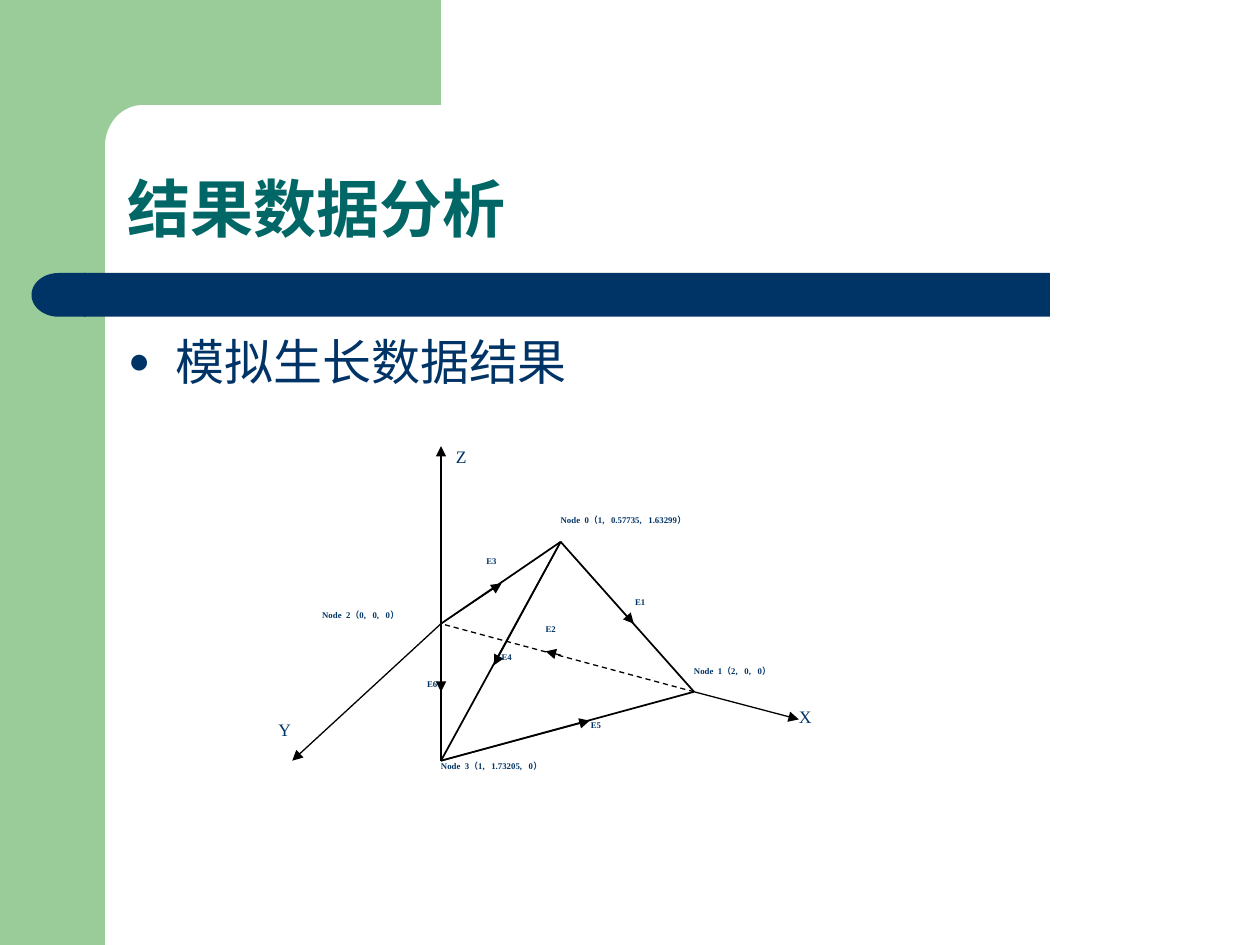
from math import cos, pi, sin

from lxml.etree import SubElement
from pptx import Presentation
from pptx.dml.color import RGBColor
from pptx.enum.dml import MSO_LINE_DASH_STYLE as DASH
from pptx.enum.shapes import MSO_CONNECTOR, MSO_SHAPE
from pptx.enum.text import MSO_ANCHOR, PP_ALIGN
from pptx.oxml.ns import qn
from pptx.util import Pt

GREEN = RGBColor(0x99, 0xCC, 0x99)
NAVY = RGBColor(0x00, 0x33, 0x66)
TEAL = RGBColor(0x00, 0x66, 0x66)
BLACK = RGBColor(0, 0, 0)
SERIF = "Times New Roman"
LABEL_HEIGHT = 15.6

TITLE = "结果数据分析"
BULLET = "模拟生长数据结果"

# Node points, and node labels as (text, left, top, width)
NODES = [(320.4, 309.6), (396.6, 395.3), (252, 356.4), (252, 434.7)]
NODE_LABELS = [
    ("Node  0（1,   0.57735,   1.63299）", 320.4, 294.4, 93.6),
    ("Node  1（2,   0,   0）", 396.6, 380.2, 67.7),
    ("Node  2（0,   0,   0）", 184.1, 348.6, 59.8),
    ("Node  3（1,   1.73205,   0）", 252, 434.7, 76.3),
]
# Axis name, start node, tip, label position
AXES = [
    ("X", 1, (456.5, 411.1), (456.5, 403.2)),
    ("Y", 2, (167, 434.7), (159.1, 411.1)),
    ("Z", 2, (252, 254.9), (260.6, 254.9)),
]
# Edge name, start node, end node, direction arrow tip, arrow width, label position
EDGES = [
    ("E1", 0, 1, (362.2, 356.4), 0.25, (362.9, 341.3)),
    ("E2", 1, 2, (311.8, 372.2), 0.75, (311.8, 356.4)),
    ("E3", 2, 0, (286.6, 333.4), 0.5, (277.9, 317.5)),
    ("E4", 0, 3, (282.2, 380.2), 0.75, (286.6, 372.2)),
    ("E5", 3, 1, (337, 411.8), 0.75, (337.7, 411.1)),
    ("E6", 2, 3, (252, 395.3), 0.75, (244.1, 388.1)),
]
HIDDEN_EDGE = "E2"
HIDDEN_ARROW_START = (320.4, 374.4)


def paint(shape, color):
    shape.shadow.inherit = False
    shape.fill.solid()
    shape.fill.fore_color.rgb = color
    shape.line.fill.background()


def add_block(shapes, kind, box, color):
    shape = shapes.add_shape(kind, *map(Pt, box))
    paint(shape, color)
    return shape


def add_corner(shapes):
    """Top band whose inner corner is a quarter ellipse."""
    center_x, center_y, radius_x, radius_y = 81.5, 83.5, 21.5, 23.5
    steps = 16
    arc = [(center_x - radius_x * sin(pi / 2 * i / steps),
            center_y - radius_y * cos(pi / 2 * i / steps)) for i in range(steps + 1)]
    outline = [(252, 60), *arc, (60, 92), (36, 92), (36, 0)]
    builder = shapes.build_freeform(Pt(252), Pt(0))
    builder.add_line_segments([(Pt(x), Pt(y)) for x, y in outline], close=True)
    paint(builder.convert_to_shape(), GREEN)


def add_text(shapes, text, box, size, color, font=SERIF, bold=False, insets=(0, 0)):
    text_box = shapes.add_textbox(*map(Pt, box))
    frame = text_box.text_frame
    frame.word_wrap = True
    frame.margin_left = frame.margin_right = Pt(insets[0])
    frame.margin_top = frame.margin_bottom = Pt(insets[1])
    run = frame.paragraphs[0].add_run()
    run.text = text
    run.font.name = font
    run.font.size = Pt(size)
    run.font.bold = bold
    run.font.color.rgb = color
    return frame


def add_label(shapes, text, left, top, width, size=5, bold=True):
    frame = add_text(shapes, text, (left, top, width, LABEL_HEIGHT), size, NAVY, bold=bold)
    frame.paragraphs[0].alignment = PP_ALIGN.JUSTIFY


def add_line(shapes, start, end, width, dashed=False, arrow=False):
    line = shapes.add_connector(MSO_CONNECTOR.STRAIGHT, *map(Pt, (*start, *end)))
    line.line.color.rgb = BLACK
    line.line.width = Pt(width)
    if dashed:
        line.line.dash_style = DASH.DASH
    properties = line._element.spPr
    if arrow:
        SubElement(properties.find(qn("a:ln")), qn("a:tailEnd"), type="triangle")
    SubElement(properties, qn("a:effectLst"))


def add_bullet(paragraph):
    properties = paragraph._p.get_or_add_pPr()
    properties.set("marL", str(Pt(27)))
    properties.set("indent", str(-Pt(27)))
    color = SubElement(properties, qn("a:buClr"))
    SubElement(color, qn("a:srgbClr"), val=str(NAVY))
    SubElement(properties, qn("a:buSzPct"), val="75000")
    SubElement(properties, qn("a:buFont"), typeface="Arial")
    SubElement(properties, qn("a:buChar"), char="●")


def add_frame(shapes):
    add_block(shapes, MSO_SHAPE.RECTANGLE, (0, 0, 60, 540), GREEN)
    add_corner(shapes)
    add_block(shapes, MSO_SHAPE.RECTANGLE, (48, 156, 552, 25), NAVY)
    cap = add_block(shapes, MSO_SHAPE.FLOWCHART_DELAY, (18, 156, 31, 25), NAVY)
    cap.rotation = 180


def add_headings(shapes):
    title = add_text(shapes, TITLE, (65.5, 65.5, 612.7, 78.5), 36, TEAL,
                     "Arial", True, (7.2, 3.6))
    title.vertical_anchor = MSO_ANCHOR.BOTTOM
    title.paragraphs[0].line_spacing = 0.9
    body = add_text(shapes, BULLET, (66.2, 185.8, 605.5, 293), 28, NAVY,
                    "Arial", insets=(7.2, 3.6))
    body.paragraphs[0].space_before = Pt(7)
    add_bullet(body.paragraphs[0])


def add_tetrahedron(shapes):
    for name, start, end, tip, arrow_width, label in EDGES:
        hidden = name == HIDDEN_EDGE
        add_line(shapes, NODES[start], NODES[end], 0.75 if hidden else 1, hidden)
        arrow_start = HIDDEN_ARROW_START if hidden else NODES[start]
        add_line(shapes, arrow_start, tip, arrow_width, hidden, arrow=True)
        add_label(shapes, name, *label, 8.9)
    for name, start, tip, label in AXES:
        add_line(shapes, NODES[start], tip, 0.75, arrow=True)
        add_label(shapes, name, *label, 17, size=10, bold=False)
    for label in NODE_LABELS:
        add_label(shapes, *label)


def main():
    presentation = Presentation()
    presentation.slide_width, presentation.slide_height = Pt(720), Pt(540)
    slide = presentation.slides.add_slide(presentation.slide_layouts[6])
    add_frame(slide.shapes)
    add_headings(slide.shapes)
    add_tetrahedron(slide.shapes)
    presentation.save("out.pptx")


if __name__ == "__main__":
    main()
